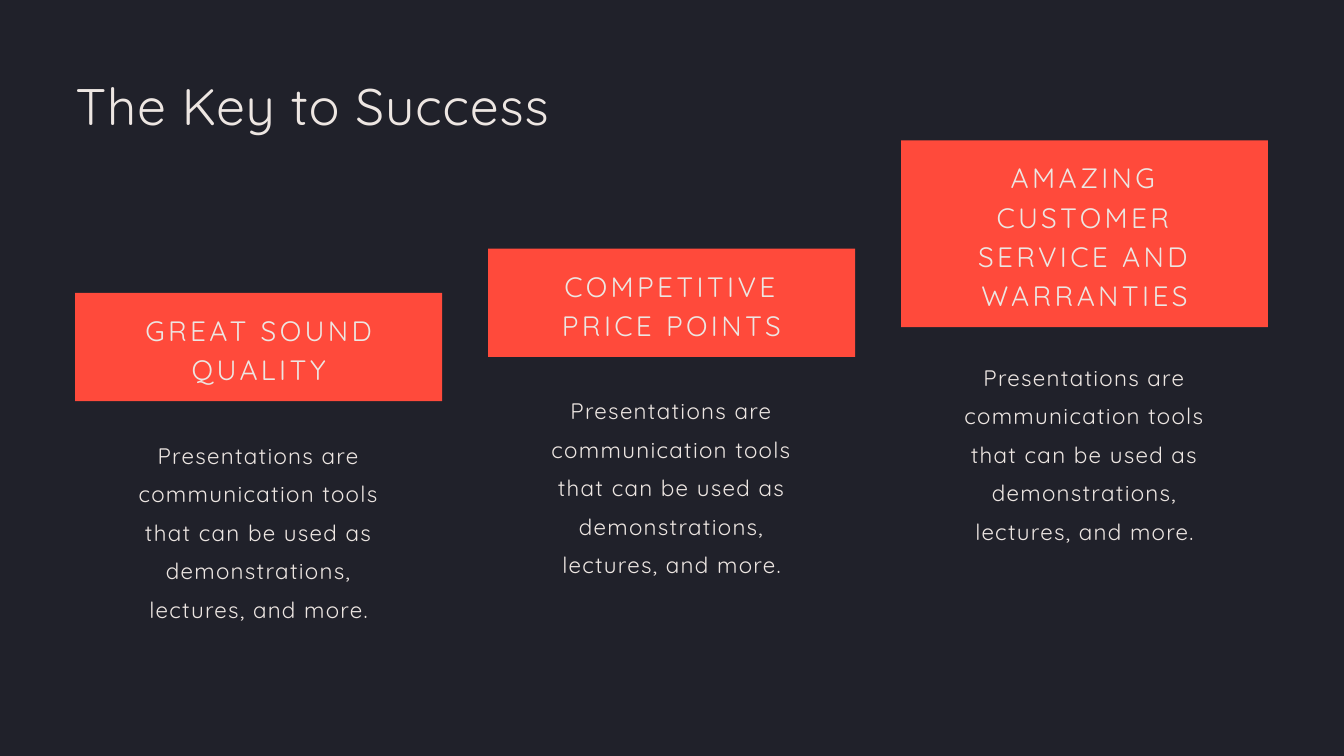
import pptx
import pptx.dml.color
import pptx.enum.shapes
import pptx.enum.text
import pptx.util

Inches = pptx.util.Inches
Pt = pptx.util.Pt
Align = pptx.enum.text.PP_ALIGN

BACKGROUND, CORAL, CREAM = "20212A", "FF4A3B", "EDE6E2"
FONT = "Quicksand"

TITLE_STYLE = {"size": 55, "line": 68.2, "tracking": 1.1, "align": Align.LEFT}
BANNER_STYLE = {"size": 30, "line": 42, "tracking": 3.6, "align": Align.CENTER}
DETAIL_STYLE = {"size": 24, "line": 41.3, "tracking": 1.4, "align": Align.CENTER}

MARGIN = 1.12
COLUMN_WIDTH = 5.46
COLUMN_STEP = 6.145
DETAIL = ("Presentations are communication tools that can be used as "
          "demonstrations, lectures, and more.")

# Heading, banner top, banner height, detail top
COLUMNS = [
    ("GREAT SOUND\nQUALITY", 4.36, 1.61, 6.4),
    ("COMPETITIVE PRICE POINTS", 3.7, 1.61, 5.74),
    ("AMAZING CUSTOMER SERVICE AND WARRANTIES", 2.09, 2.78, 5.24),
]


def set_fill(fill, color):
    fill.solid()
    fill.fore_color.rgb = pptx.dml.color.RGBColor.from_string(color)


def set_values(target, values):
    for name, value in values.items():
        setattr(target, name, value)


def write_text(shape, text, style):
    """Fill a shape with styled, letter-spaced text and no insets."""
    frame = shape.text_frame
    set_values(frame, {
        "margin_left": 0, "margin_top": 0, "margin_right": 0, "margin_bottom": 0,
        "word_wrap": True,
        "auto_size": pptx.enum.text.MSO_AUTO_SIZE.NONE,
        "vertical_anchor": pptx.enum.text.MSO_ANCHOR.TOP,
    })
    frame.text = text
    for paragraph in frame.paragraphs:
        set_values(paragraph, {
            "alignment": style["align"], "line_spacing": Pt(style["line"]),
            "space_before": Pt(0), "space_after": Pt(0),
        })
        for run in paragraph.runs:
            set_values(run.font, {"name": FONT, "size": Pt(style["size"])})
            set_fill(run.font.fill, CREAM)
            run.font._element.set("spc", str(round(style["tracking"] * 100)))


def add_title(slide, left, top, width, height):
    title = slide.shapes.title
    set_values(title, {"left": Inches(left), "top": Inches(top),
                       "width": Inches(width), "height": Inches(height)})
    write_text(title, "The Key to Success", TITLE_STYLE)


def add_banner(slide, left, top, width, height, heading):
    """Group a coral rectangle with its heading."""
    group = slide.shapes.add_group_shape()
    rectangle = group.shapes.add_shape(
        pptx.enum.shapes.MSO_SHAPE.RECTANGLE,
        Inches(left), Inches(top), Inches(width), Inches(height))
    rectangle.shadow.inherit = False
    set_fill(rectangle.fill, CORAL)
    rectangle.line.fill.background()
    inset_x, inset_y = 0.585, 0.22
    box = group.shapes.add_textbox(
        Inches(left + inset_x), Inches(top + inset_y),
        Inches(width - 2 * inset_x), Inches(height - 2 * inset_y))
    write_text(box, heading, BANNER_STYLE)


def add_detail(slide, left, top, width):
    inset = 0.6
    box = slide.shapes.add_textbox(
        Inches(left + inset), Inches(top), Inches(width - 2 * inset), Inches(2.84))
    write_text(box, DETAIL, DETAIL_STYLE)


def main():
    presentation = pptx.Presentation()
    presentation.slide_width = Inches(20)
    presentation.slide_height = Inches(11.25)
    slide = presentation.slides.add_slide(
        presentation.slide_layouts.get_by_name("Title Only"))
    set_fill(slide.background.fill, BACKGROUND)

    add_title(slide, MARGIN, 1.08, 11.87, 0.95)
    for index, (heading, top, height, detail_top) in enumerate(COLUMNS):
        left = MARGIN + index * COLUMN_STEP
        add_banner(slide, left, top, COLUMN_WIDTH, height, heading)
        add_detail(slide, left, detail_top, COLUMN_WIDTH)
    presentation.save("out.pptx")


if __name__ == "__main__":
    main()
